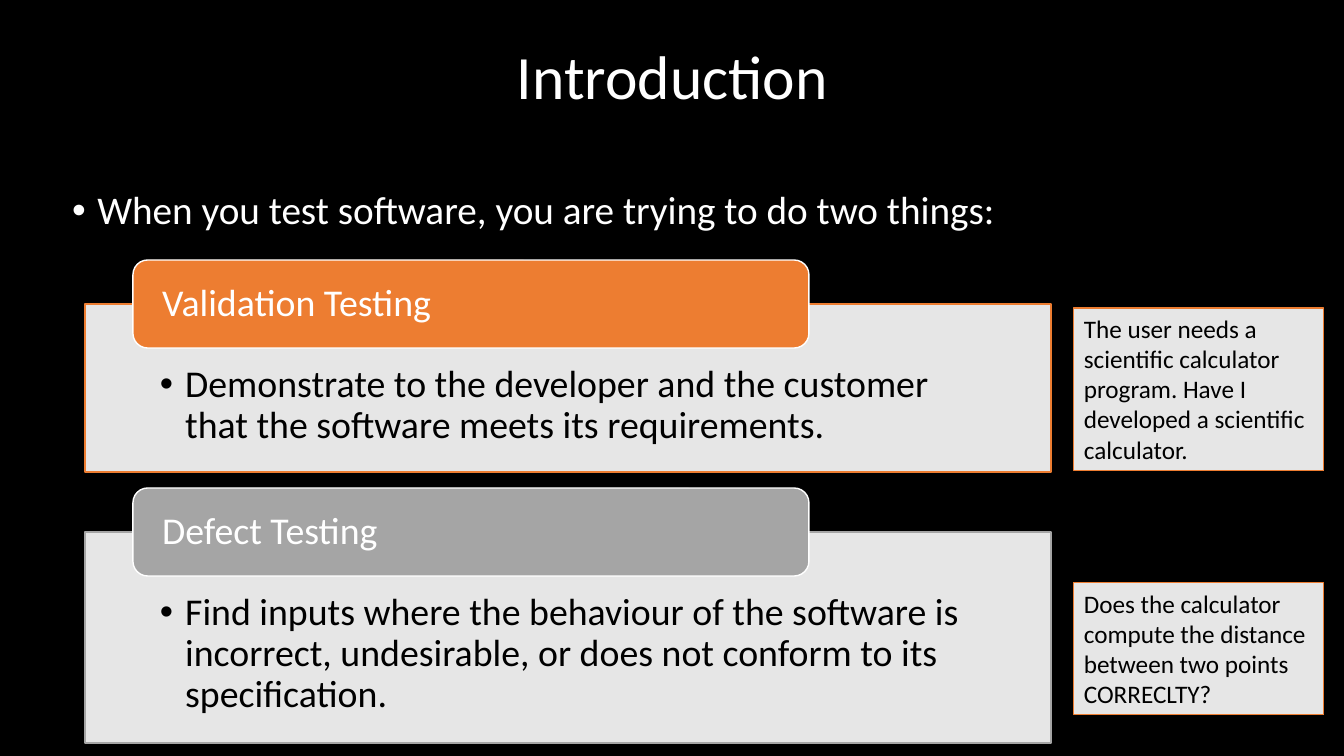
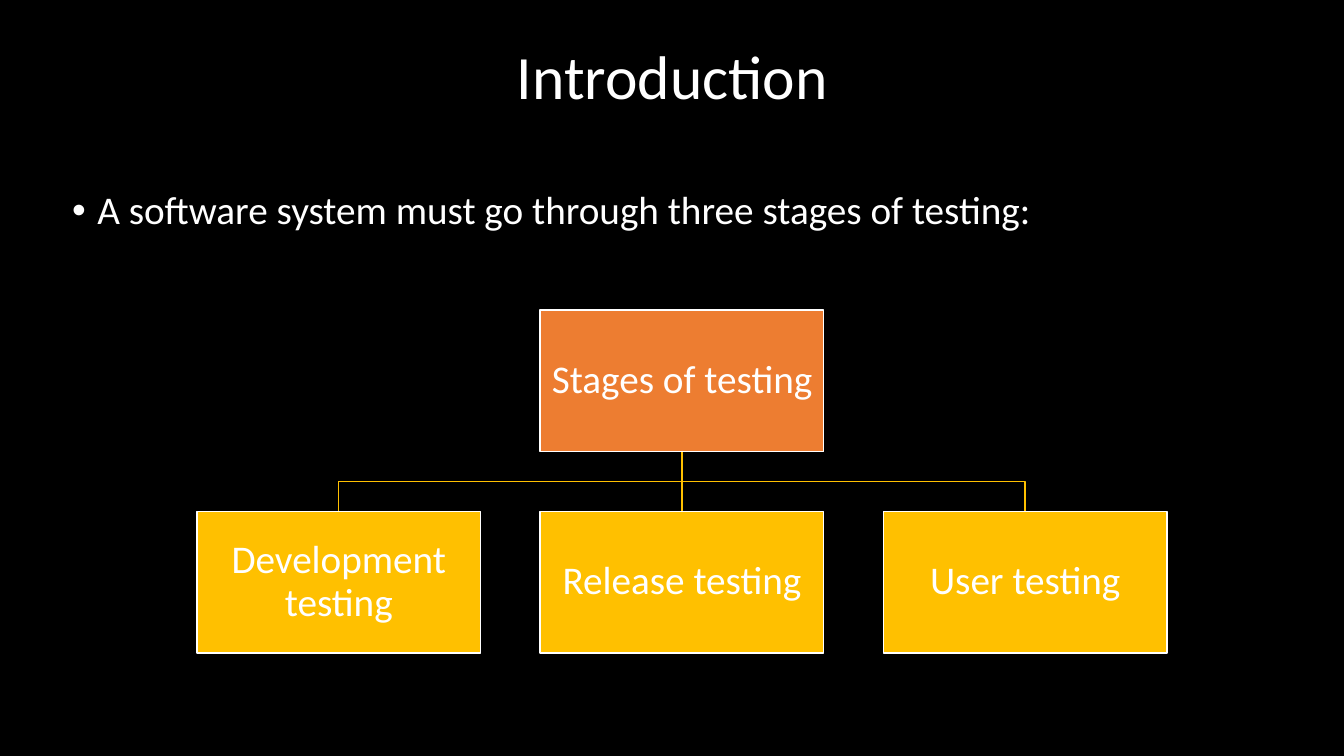
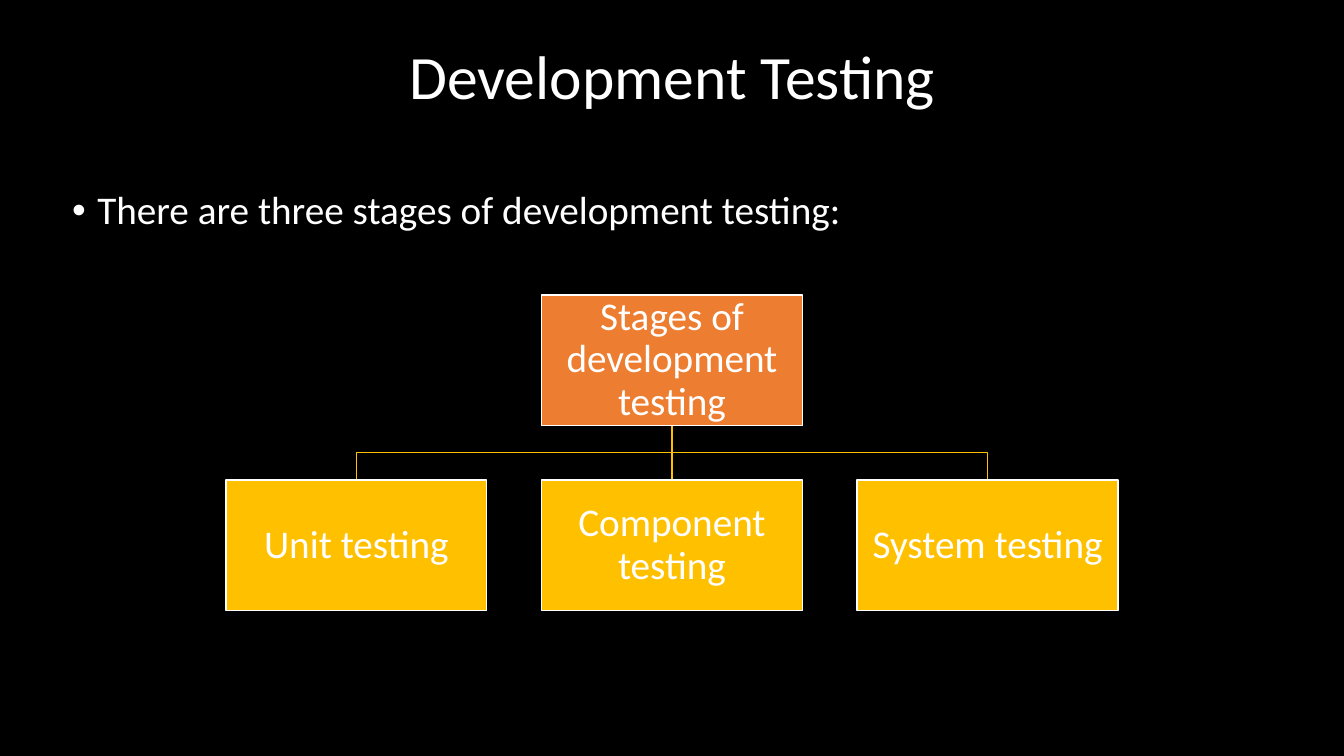
from dataclasses import dataclass

from lxml import etree
from pptx import Presentation
from pptx import util as u
from pptx.dml import color
from pptx.enum import shapes, text
from pptx.oxml import ns

EMU_PER_PX = 914400 / 100.8


@dataclass(frozen=True)
class Theme:
    font: str = "Calibri"
    background: str = "000000"
    light: str = "FFFFFF"
    dark: str = "000000"
    orange: str = "ED7D31"
    gray: str = "A5A5A5"
    gold: str = "FFC000"
    note_fill: str = "E6E6E6"
    title_size: int = 44
    body_size: int = 28
    panel_size: int = 27
    note_size: int = 18
    line_spacing: float = 0.9


T = Theme()


def px(n):
    return u.Emu(round(n * EMU_PER_PX))


def rgb(value):
    return color.RGBColor.from_string(value)


def sub(parent, tag, **attrs):
    return etree.SubElement(parent, ns.qn(tag), attrs)


def place(shape, box):
    shape.left, shape.top, shape.width, shape.height = map(px, box)


def write(tf, words, size, ink, align=text.PP_ALIGN.LEFT, spacing=T.line_spacing):
    tf.text = words
    p = tf.paragraphs[0]
    p.alignment = align
    p.line_spacing = spacing
    font = p.runs[0].font
    font.name, font.size, font.color.rgb = T.font, u.Pt(size), rgb(ink)
    return p


def add_bullet(p):
    pPr = p._p.get_or_add_pPr()
    pPr.set("marL", str(u.Inches(0.25)))
    pPr.set("indent", str(-u.Inches(0.25)))
    sub(pPr, "a:buFont", typeface="Arial")
    sub(pPr, "a:buChar", char="•")


def set_insets(tf, left, top, right, bottom):
    tf.margin_left, tf.margin_top = px(left), px(top)
    tf.margin_right, tf.margin_bottom = px(right), px(bottom)


def add_box(s, box, fill, line, kind=shapes.MSO_SHAPE.RECTANGLE, weight=1):
    sp = s.shapes.add_shape(kind, *map(px, box))
    sp.shadow.inherit = False
    sp.fill.solid()
    sp.fill.fore_color.rgb = rgb(fill)
    sp.line.color.rgb = rgb(line)
    sp.line.width = u.Pt(weight)
    return sp


def set_up_master(prs):
    """Give the deck its background and the shared title and body places."""
    fill = prs.slide_master.background.fill
    fill.solid()
    fill.fore_color.rgb = rgb(T.background)
    layout = prs.slide_layouts[1]
    place(layout.placeholders[0], (93, 7, 1159, 146))
    place(layout.placeholders[1], (62, 186, 1190, 495))
    return layout


def add_slide(prs, layout, title, lead):
    s = prs.slides.add_slide(layout)
    write(s.shapes.title.text_frame, title, T.title_size, T.light, text.PP_ALIGN.CENTER)
    p = write(s.placeholders[1].text_frame, lead, T.body_size, T.light)
    p.space_before = u.Pt(10)
    add_bullet(p)
    return s


def add_panel(s, box, accent, heading, words):
    """Place a pale panel with a coloured tab across its top edge."""
    x, y, _, _ = box
    panel = add_box(s, box, T.light, accent)
    sub(panel.fill._xPr.find(".//" + ns.qn("a:srgbClr")), "a:alpha", val="90000")
    tf = panel.text_frame
    tf.vertical_anchor = text.MSO_ANCHOR.TOP
    set_insets(tf, 75, 61, 75, 21)
    add_bullet(write(tf, words, T.panel_size, T.dark))

    tab = add_box(s, (x + 48, y - 44, 676, 88), accent, T.light,
                  shapes.MSO_SHAPE.ROUNDED_RECTANGLE)
    set_insets(tab.text_frame, 25, 0, 25, 0)
    write(tab.text_frame, heading, T.panel_size, T.light)


def add_note(s, box, words):
    tf = add_box(s, box, T.note_fill, T.orange, weight=0.75).text_frame
    tf.vertical_anchor = text.MSO_ANCHOR.TOP
    tf.auto_size = text.MSO_AUTO_SIZE.SHAPE_TO_FIT_TEXT
    write(tf, words, T.note_size, T.dark, spacing=1.0)


def add_link(s, x1, y1, x2, y2):
    """Draw a straight or stepped line from a parent down to a child."""
    if x1 == x2:
        link = s.shapes.add_connector(shapes.MSO_CONNECTOR.STRAIGHT,
                                      *map(px, (x1, y1, x2, y2)))
        sub(link._element.spPr, "a:effectLst")
    else:
        mid = (y1 + y2) / 2
        pen = s.shapes.build_freeform(px(x1), px(y1))
        corners = [(x1, mid), (x2, mid), (x2, y2)]
        pen.add_line_segments([(px(x), px(y)) for x, y in corners], close=False)
        link = pen.convert_to_shape()
        link.fill.background()
        link.shadow.inherit = False
    link.line.color.rgb = rgb(T.gold)
    link.line.width = u.Pt(1)


def add_node(s, box, fill, words):
    tf = add_box(s, box, fill, T.light).text_frame
    set_insets(tf, 2, 2, 2, 2)
    write(tf, words, T.body_size, T.light, text.PP_ALIGN.CENTER)


def add_tree(s, left, top, width, root, children):
    """Fill a width with 2:1 boxes; every gap is 21% of a box width."""
    n = len(children)
    w = width / (n + 0.21 * (n - 1))
    h, gap = w / 2, 0.21 * w
    center = left + width / 2
    child_top = top + h + gap
    lefts = [center - w / 2 + (i - (n - 1) / 2) * (w + gap) for i in range(n)]
    for x in reversed(lefts):
        add_link(s, center, top + h, x + w / 2, child_top)
    add_node(s, (center - w / 2, top, w, h), T.orange, root)
    for x, words in zip(lefts, children):
        add_node(s, (x, child_top, w, h), T.gold, words)


def main():
    prs = Presentation()
    prs.slide_width, prs.slide_height = px(1344), px(756)
    layout = set_up_master(prs)

    s = add_slide(prs, layout, "Introduction",
                  "When you test software, you are trying to do two things:")
    add_panel(s, (85, 304, 966, 168), T.orange, "Validation Testing",
              "Demonstrate to the developer and the customer that the software "
              "meets its requirements.")
    add_panel(s, (85, 532, 966, 211), T.gray, "Defect Testing",
              "Find inputs where the behaviour of the software is incorrect, "
              "undesirable, or does not conform to its specification.")
    add_note(s, (1074, 308, 250, 163),
             "The user needs a scientific calculator program. Have I developed "
             "a scientific calculator.")
    add_note(s, (1074, 583, 250, 132),
             "Does the calculator compute the distance between two points CORRECLTY?")

    s = add_slide(prs, layout, "Introduction",
                  "A software system must go through three stages of testing:")
    add_tree(s, 197, 310, 970, "Stages of testing",
             ["Development testing", "Release testing", "User testing"])

    s = add_slide(prs, layout, "Development Testing",
                  "There are three stages of development testing:")
    add_tree(s, 226, 295, 892, "Stages of development testing",
             ["Unit testing", "Component testing", "System testing"])

    prs.save("out.pptx")


if __name__ == "__main__":
    main()
